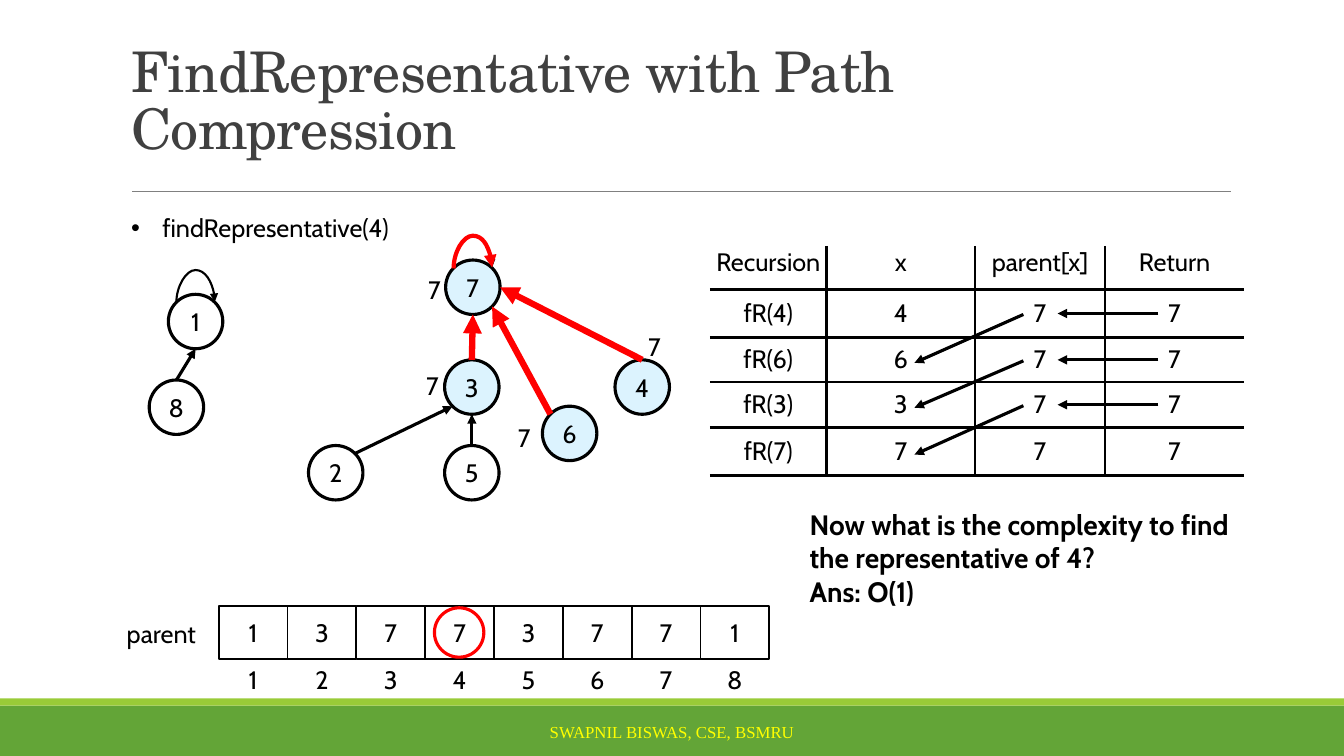
from itertools import accumulate
from math import cos, radians, sin

from lxml import etree
from pptx import Presentation
from pptx import util as u
from pptx.dml.color import RGBColor
from pptx.enum import shapes, text
from pptx.oxml import ns

BLACK = RGBColor(0, 0, 0)
WHITE = RGBColor(255, 255, 255)
RED = RGBColor(255, 0, 0)
YELLOW = RGBColor(255, 255, 0)
GRAY = RGBColor(0x80, 0x80, 0x80)
DARK = RGBColor(0x40, 0x40, 0x40)
GREEN = RGBColor(0x63, 0xA5, 0x37)
LIME = RGBColor(0x99, 0xCB, 0x38)
PALE = RGBColor(0xDC, 0xF3, 0xFE)
BODY = "Cabin"
NODE = 0.54
TOP, TOP_LEFT, TOP_RIGHT, RIGHT = 90, 135, 45, 0
BOTTOM, BOTTOM_LEFT, BOTTOM_RIGHT = 270, 225, 315


def sub(parent, tag, **attrs):
    return etree.SubElement(parent, ns.qn(tag), attrs)


def write(p, words, size=18, font=BODY, color=BLACK, bold=False, align=text.PP_ALIGN.CENTER):
    p.alignment = align
    r = p.add_run()
    r.text = words
    r.font.size, r.font.name, r.font.bold = u.Pt(size), font, bold
    r.font.color.rgb = color
    return r


def frame(holder, anchor=text.MSO_ANCHOR.MIDDLE, wrap=False):
    tf = holder.text_frame
    tf.margin_left = tf.margin_right = tf.margin_top = tf.margin_bottom = 0
    tf.vertical_anchor, tf.word_wrap = anchor, wrap
    return tf


def label(s, x, y, w, h, words, **style):
    tf = frame(s.shapes.add_textbox(*map(u.Inches, (x, y, w, h))))
    write(tf.paragraphs[0], words, **style)
    return tf.paragraphs[0]


def shape(s, kind, x, y, w, h, fill=None, line=None, width=2.25, words=""):
    sp = s.shapes.add_shape(kind, *map(u.Inches, (x, y, w, h)))
    sp.shadow.inherit = False
    if fill is None:
        sp.fill.background()
    else:
        sp.fill.solid()
        sp.fill.fore_color.rgb = fill
    if line is None:
        sp.line.fill.background()
    else:
        sp.line.color.rgb, sp.line.width = line, u.Pt(width)
    if words:
        write(frame(sp).paragraphs[0], words)
    return sp


def line(s, start, end, color=BLACK, width=2.25, arrow=True, kind=shapes.MSO_CONNECTOR.STRAIGHT):
    c = s.shapes.add_connector(kind, *map(u.Inches, (*start, *end)))
    c.line.color.rgb, c.line.width = color, u.Pt(width)
    if arrow:
        sub(c.line._get_or_add_ln(), "a:tailEnd", type="triangle")
    sub(c._element.spPr, "a:effectLst")
    return c


def rim(center, angle):
    """Point on a tree node's circle, counter-clockwise from its right side."""
    x, y = center
    return x + NODE / 2 * cos(radians(angle)), y - NODE / 2 * sin(radians(angle))


def loop(s, center, color, width):
    """Arrow from a node's top left over to its top right."""
    (left, y), (right, _) = rim(center, TOP_LEFT), rim(center, TOP_RIGHT)
    drop, rise, half = 0.01, 0.33, (right - left) / 2
    x = (left + right) / 2
    c = line(s, (x - drop / 2, y - half), (x + drop / 2, y + half), color, width,
             kind=shapes.MSO_CONNECTOR.CURVE)
    xfrm = c._element.spPr.find(ns.qn("a:xfrm"))
    for name, value in (("rot", "5400000"), ("flipH", "1"), ("flipV", "1")):
        xfrm.set(name, value)
    guides = c._element.spPr.find(ns.qn("a:prstGeom")).find(ns.qn("a:avLst"))
    sub(guides, "a:gd", name="adj1", fmla=f"val {round(rise / drop * 100000)}")


def title(s, x, y, w, h):
    s.shapes.title.left, s.shapes.title.top = u.Inches(x), u.Inches(y)
    s.shapes.title.width, s.shapes.title.height = u.Inches(w), u.Inches(h)
    tf = s.shapes.title.text_frame
    tf.auto_size, tf.word_wrap = text.MSO_AUTO_SIZE.NONE, True
    tf.vertical_anchor = text.MSO_ANCHOR.BOTTOM
    p = tf.paragraphs[0]
    p.line_spacing = 0.85
    r = write(p, "FindRepresentative with Path Compression", 40, "TeX Gyre Schola", DARK,
              align=text.PP_ALIGN.LEFT)
    r.font._element.set("spc", "-50")
    line(s, (x + 0.11, y + 1.84), (x + 11.01, y + 1.84), GRAY, 0.5, arrow=False)


def footer(s, y, w, h):
    rect = shapes.MSO_SHAPE.RECTANGLE
    shape(s, rect, 0, y, w, h, GREEN)
    shape(s, rect, 0, y - 0.07, w, 0.07, LIME)
    label(s, 0, y + 0.06, w, 0.4, "SWAPNIL BISWAS, CSE, BSMRU", size=12,
          font="Times New Roman", color=YELLOW)


def forest(s, x, y):
    p = label(s, x, y, 2.87, 0.4, "findRepresentative(4)", align=text.PP_ALIGN.LEFT)
    pPr = p._p.get_or_add_pPr()
    pPr.set("marL", str(u.Inches(0.31)))
    pPr.set("indent", str(-u.Inches(0.31)))
    sub(pPr, "a:buFont", typeface="Arial")
    sub(pPr, "a:buChar", char="•")

    places = {1: (0.64, 1.13), 2: (2.03, 2.63), 3: (3.38, 1.78), 4: (5.07, 1.78),
              5: (3.38, 2.63), 6: (4.35, 2.24), 7: (3.39, 0.79), 8: (0.45, 1.98)}
    nodes = {n: (x + dx, y + dy) for n, (dx, dy) in places.items()}
    for n, (cx, cy) in nodes.items():
        shape(s, shapes.MSO_SHAPE.OVAL, cx - NODE / 2, cy - NODE / 2, NODE, NODE,
              PALE if n in (3, 4, 6, 7) else WHITE, BLACK, words=str(n))
    for child, leave, parent, reach, color, width in (
            (8, TOP, 1, BOTTOM, BLACK, 2.25), (2, TOP_RIGHT, 3, BOTTOM_LEFT, BLACK, 2.25),
            (5, TOP, 3, BOTTOM, BLACK, 2.25), (4, TOP, 7, RIGHT, RED, 4.5),
            (6, TOP_LEFT, 7, BOTTOM_RIGHT, RED, 4.5), (3, TOP, 7, BOTTOM, RED, 4.5)):
        line(s, rim(nodes[child], leave), rim(nodes[parent], reach), color, width)
    for n, color, width in ((1, BLACK, 1.5), (7, BLACK, 1.5), (7, RED, 3)):
        loop(s, nodes[n], color, width)
    for n, dx, dy in ((7, -0.38, 0.02), (3, -0.39, -0.02), (6, -0.45, 0.04), (4, 0.12, -0.4)):
        cx, cy = nodes[n]
        label(s, cx + dx - 0.17, cy + dy - 0.2, 0.34, 0.4, "7")


def parent_array(s, x, y, w, h):
    step = w / 8
    label(s, x - 1.03, y + 0.07, 0.92, 0.4, "parent")
    for i, parent in enumerate((1, 3, 7, 7, 3, 7, 7, 1)):
        left = x + i * step
        shape(s, shapes.MSO_SHAPE.RECTANGLE, left, y, step, h, WHITE, BLACK, 1.25, str(parent))
        label(s, left, y + h, step, 0.4, str(i + 1))
    shape(s, shapes.MSO_SHAPE.OVAL, x + 3.5 * step - 0.25, y + 0.02, 0.49, 0.49, line=RED)


def border(cell, sides):
    tcPr = cell._tc.get_or_add_tcPr()
    for i, side in enumerate(sides):
        ln = etree.Element(ns.qn(f"a:ln{side}"), w=str(u.Pt(2.25)))
        sub(sub(ln, "a:solidFill"), "a:srgbClr", val=str(BLACK))
        tcPr.insert(i, ln)


def recursion_table(s, x, y):
    rows = (("Recursion", "x", "parent[x]", "Return"), ("fR(4)", "4", "7", "7"),
            ("fR(6)", "6", "7", "7"), ("fR(3)", "3", "7", "7"), ("fR(7)", "7", "7", "7"))
    widths, heights = (1.16, 1.47, 1.29, 1.38), (0.43, 0.48, 0.44, 0.45, 0.48)
    table = s.shapes.add_table(5, 4, *map(u.Inches, (x, y, sum(widths), sum(heights)))).table
    table.first_row = table.horz_banding = False
    table._tbl.tblPr.find(ns.qn("a:tableStyleId")).text = "{2D5ABB26-0587-4C30-8999-92F81FD0307C}"
    for col, w in zip(table.columns, widths):
        col.width = u.Inches(w)
    for i, (row, h) in enumerate(zip(rows, heights)):
        table.rows[i].height = u.Inches(h)
        for j, words in enumerate(row):
            cell = table.cell(i, j)
            cell.margin_left = cell.margin_right = cell.margin_top = 0
            cell.margin_bottom = 0 if i else u.Inches(0.1)
            cell.vertical_anchor = text.MSO_ANCHOR.MIDDLE
            cell.fill.background()
            write(cell.text_frame.paragraphs[0], words)
            border(cell, "L" * (j > 0) + "R" * (j < 3) + "T" * (i > 0) + "B")
    middles = [y + end - h / 2 for end, h in zip(accumulate(heights), heights)][1:]
    for here, below in zip(middles, middles[1:]):
        line(s, (x + 3.11, here + 0.01), (x + 2.03, below + 0.03))
        line(s, (x + 4.45, here), (x + 3.45, here))


def conclusion(s, x, y, w, h):
    tf = frame(s.shapes.add_textbox(*map(u.Inches, (x, y, w, h))), text.MSO_ANCHOR.TOP, True)
    for p, words in ((tf.paragraphs[0], "Now what is the complexity to find the representative of 4?"),
                     (tf.add_paragraph(), "Ans: O(1)")):
        write(p, words, 20, bold=True, align=text.PP_ALIGN.LEFT)


def main():
    prs = Presentation()
    prs.slide_width, prs.slide_height = u.Inches(13.33), u.Inches(7.5)
    s = prs.slides.add_slide(prs.slide_layouts[5])
    footer(s, 7, 13.33, 0.5)
    title(s, 1.2, 0.06, 11, 1.59)
    forest(s, 1.3, 2.06)
    parent_array(s, 2.17, 6.01, 5.46, 0.53)
    recursion_table(s, 7.04, 2.44)
    conclusion(s, 8.03, 5.03, 4.43, 1.01)
    prs.save("out.pptx")


if __name__ == "__main__":
    main()
